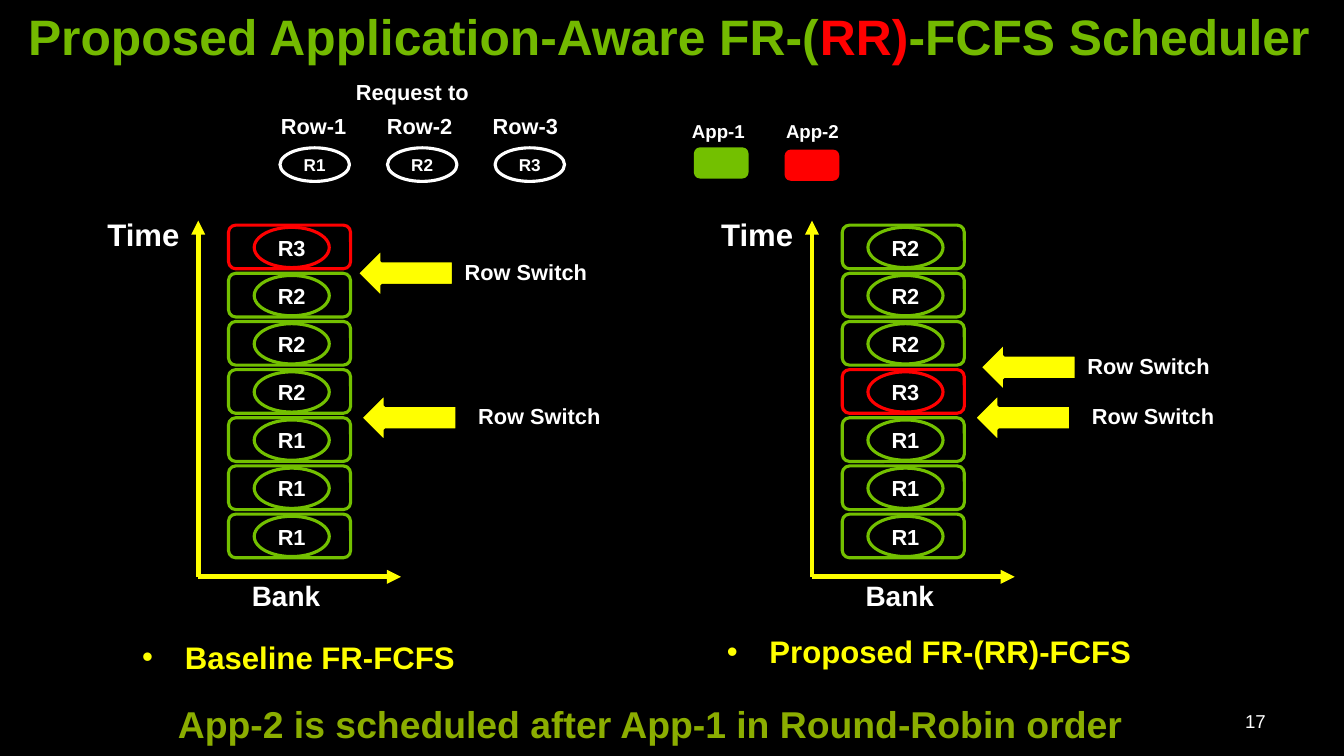
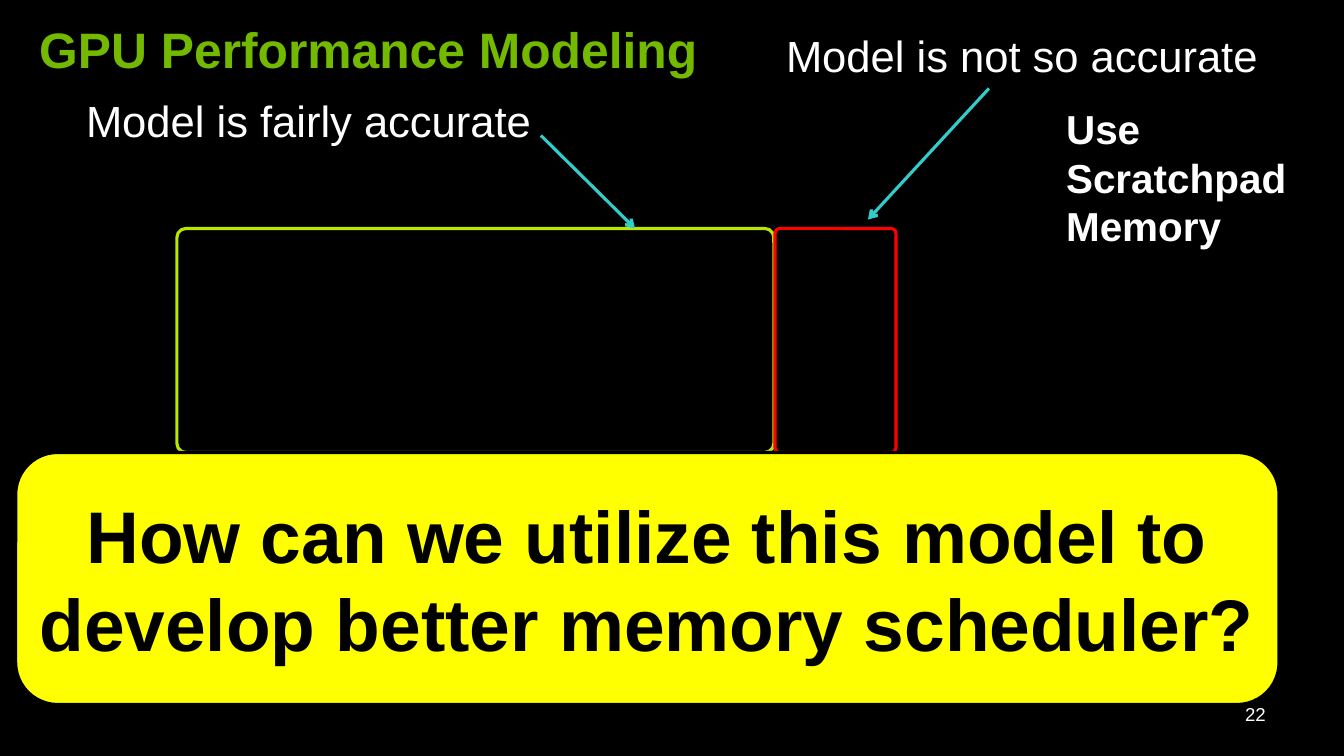
from lxml import etree
from pptx import Presentation
from pptx.dml.color import RGBColor
from pptx.enum.shapes import MSO_CONNECTOR, MSO_SHAPE
from pptx.enum.text import MSO_ANCHOR, MSO_AUTO_SIZE, PP_ALIGN
from pptx.oxml.ns import qn
from pptx.util import Inches, Pt

FONT = "Arial"
BLACK, WHITE, RED, YELLOW = "000000", "FFFFFF", "FF0000", "FFFF00"
TITLE_GREEN, APP_GREEN, OLIVE = "73B900", "73C000", "8BAD00"
LIME, TEAL = "B9E700", "33CCCC"
TWO_CONTENT, TITLE_ONLY = 3, 5
APP_COLORS = {"R1": APP_GREEN, "R2": APP_GREEN, "R3": RED}


def rgb(value):
    return RGBColor.from_string(value)


def inches(*values):
    return [Inches(v) for v in values]


def style_run(r, size, color, bold=True):
    r.font.name = FONT
    r.font.size = Pt(size)
    r.font.bold = bold
    r.font.color.rgb = rgb(color)


def place(sp, box):
    sp.left, sp.top, sp.width, sp.height = inches(*box)


# Text
def add_text(s, box, text, size, color=WHITE, bold=True,
             align=PP_ALIGN.LEFT, anchor=MSO_ANCHOR.TOP):
    tf = s.shapes.add_textbox(*inches(*box)).text_frame
    tf.word_wrap = True
    tf.vertical_anchor = anchor
    tf.text = text
    for p in tf.paragraphs:
        p.alignment = align
        for r in p.runs:
            style_run(r, size, color, bold)


def set_title(s, box, parts):
    sp = s.shapes.title
    place(sp, box)
    tf = sp.text_frame
    tf.auto_size = MSO_AUTO_SIZE.NONE
    tf.vertical_anchor = MSO_ANCHOR.TOP
    p = tf.paragraphs[0]
    p.alignment = PP_ALIGN.LEFT
    for text, color in parts:
        r = p.add_run()
        r.text = text
        style_run(r, 32, color)


def set_bullet(sp, box, text):
    place(sp, box)
    tf = sp.text_frame
    tf.auto_size = MSO_AUTO_SIZE.NONE
    tf.text = text
    p = tf.paragraphs[0]
    p.space_before = Pt(0)
    pPr = p._p.get_or_add_pPr()
    pPr.set("marL", str(Inches(0.38)))
    pPr.set("indent", str(-Inches(0.38)))
    etree.SubElement(pPr, qn("a:buChar")).set("char", "•")
    style_run(p.runs[0], 20, YELLOW)


def add_slide_number(s, box, number):
    add_text(s, box, number, 12, bold=False, align=PP_ALIGN.RIGHT,
             anchor=MSO_ANCHOR.MIDDLE)


# Shapes and lines
def add_shape(s, kind, box, line, fill=None, width=2):
    sp = s.shapes.add_shape(kind, *inches(*box))
    sp.shadow.inherit = False
    sp.line.color.rgb = rgb(line)
    sp.line.width = Pt(width)
    if fill:
        sp.fill.solid()
        sp.fill.fore_color.rgb = rgb(fill)
    else:
        sp.fill.background()
    return sp


def label_shape(sp, text, size, color=WHITE, wrap=False):
    tf = sp.text_frame
    tf.margin_left = tf.margin_right = tf.margin_top = tf.margin_bottom = 0
    tf.word_wrap = wrap
    tf.vertical_anchor = MSO_ANCHOR.MIDDLE
    tf.text = text
    p = tf.paragraphs[0]
    p.alignment = PP_ALIGN.CENTER
    style_run(p.runs[0], size, color)


def add_arrow(s, start, end, color, width, head):
    c = s.shapes.add_connector(MSO_CONNECTOR.STRAIGHT, *inches(*start, *end))
    c.line.color.rgb = rgb(color)
    c.line.width = Pt(width)
    etree.SubElement(c.line._get_or_add_ln(), qn("a:tailEnd")).set("type", head)
    etree.SubElement(c._element.spPr, qn("a:effectLst"))


# Parts of the scheduling diagrams
def add_axes(s, x):
    origin = (x, 5.15)
    add_arrow(s, origin, (x, 1.97), YELLOW, 3, "triangle")
    add_arrow(s, origin, (x + 1.81, 5.15), YELLOW, 3, "triangle")
    add_text(s, (x - 0.91, 1.87, 0.92, 0.44), "Time", 20)
    add_text(s, (x + 0.38, 5.12, 1.2, 0.4), "Bank", 18)


def add_queue(s, x, requests):
    """Stack the requests upwards from the bank axis."""
    for i, request in enumerate(requests):
        y = 4.59 - 0.43 * i
        color = APP_COLORS[request]
        add_shape(s, MSO_SHAPE.ROUNDED_RECTANGLE, (x, y, 1.09, 0.39), color)
        oval = add_shape(s, MSO_SHAPE.OVAL, (x + 0.23, y + 0.02, 0.67, 0.36), color)
        label_shape(oval, request, 14)


def add_row_switch(s, x, y, label_x):
    add_shape(s, MSO_SHAPE.LEFT_ARROW, (x, y, 0.86, 0.44), BLACK, YELLOW)
    add_text(s, (label_x, y + 0.04, 1.71, 0.34), "Row Switch", 14)


def add_legend(s):
    add_text(s, (3.08, 0.65, 1.71, 0.34), "Request to", 14)
    for i in range(3):
        add_text(s, (2.41 + 0.945 * i, 0.96, 1.09, 0.34), f"Row-{i + 1}", 14)
        oval = add_shape(s, MSO_SHAPE.OVAL, (2.5 + 0.96 * i, 1.32, 0.62, 0.3), WHITE)
        label_shape(oval, f"R{i + 1}", 11)
    for app, text_x, key_x, key_y, color in (("App-1", 6.08, 6.21, 1.33, APP_GREEN),
                                             ("App-2", 6.92, 7.02, 1.35, RED)):
        add_text(s, (text_x, 1.02, 1.4, 0.3), app, 12)
        add_shape(s, MSO_SHAPE.ROUNDED_RECTANGLE, (key_x, key_y, 0.46, 0.25),
                  color, color)


def scheduler_slide(prs):
    s = prs.slides.add_slide(prs.slide_layouts[TWO_CONTENT])
    set_title(s, (0.15, 0, 11.85, 1.18),
              [("Proposed Application-Aware FR-(", TITLE_GREEN), ("RR)", RED),
               ("-FCFS Scheduler", TITLE_GREEN)])
    add_slide_number(s, (8.6, 6.26, 2.8, 0.36), "17")
    add_legend(s)

    # Baseline on the left, proposed on the right
    add_axes(s, 1.77)
    add_queue(s, 2.04, ["R1"] * 3 + ["R2"] * 3 + ["R3"])
    add_row_switch(s, 3.22, 3.51, 4.17)
    add_row_switch(s, 3.19, 2.22, 4.05)
    add_axes(s, 7.25)
    add_queue(s, 7.52, ["R1"] * 3 + ["R3"] + ["R2"] * 3)
    add_row_switch(s, 8.7, 3.51, 9.65)
    add_row_switch(s, 8.75, 3.06, 9.61)

    add_text(s, (1.49, 6.21, 9.99, 0.5),
             "App-2 is scheduled after App-1 in Round-Robin order", 24, OLIVE)
    set_bullet(s.placeholders[1], (1.17, 5.65, 3.92, 0.56), "Baseline FR-FCFS")
    set_bullet(s.placeholders[2], (6.39, 5.6, 3.92, 0.56), "Proposed FR-(RR)-FCFS")


def modeling_slide(prs):
    s = prs.slides.add_slide(prs.slide_layouts[TITLE_ONLY])
    set_title(s, (0.25, 0.12, 10.07, 0.63),
              [("GPU Performance Modeling", TITLE_GREEN)])
    add_slide_number(s, (8.6, 6.15, 2.8, 0.45), "22")

    # Accurate and inaccurate regions
    for x, width, color in ((1.58, 5.33, LIME), (6.92, 1.08, RED)):
        region = add_shape(s, MSO_SHAPE.ROUNDED_RECTANGLE, (x, 2.04, width, 2), color)
        region.adjustments[0] = 0.04
    add_text(s, (0.67, 0.79, 4.33, 0.57), "Model is fairly accurate", 28, bold=False)
    add_arrow(s, (4.83, 1.21), (5.67, 2.04), TEAL, 2, "arrow")
    add_text(s, (6.92, 0.21, 4.67, 0.57), "Model is not so accurate", 28, bold=False)
    add_arrow(s, (8.83, 0.79), (7.75, 1.96), TEAL, 2, "arrow")
    add_text(s, (9.42, 0.88, 2.25, 1.41), "Use\nScratchpad\vMemory", 26)

    # Closing question
    question = add_shape(s, MSO_SHAPE.ROUNDED_RECTANGLE, (0.14, 4.04, 11.28, 2.25),
                         BLACK, YELLOW)
    label_shape(question, "How can we utilize this model to develop better "
                "memory scheduler?", 47, BLACK, wrap=True)


def main():
    prs = Presentation()
    prs.slide_width, prs.slide_height = inches(12, 6.75)
    background = prs.slide_master.background.fill
    background.solid()
    background.fore_color.rgb = rgb(BLACK)
    scheduler_slide(prs)
    modeling_slide(prs)
    prs.save("out.pptx")


if __name__ == "__main__":
    main()
